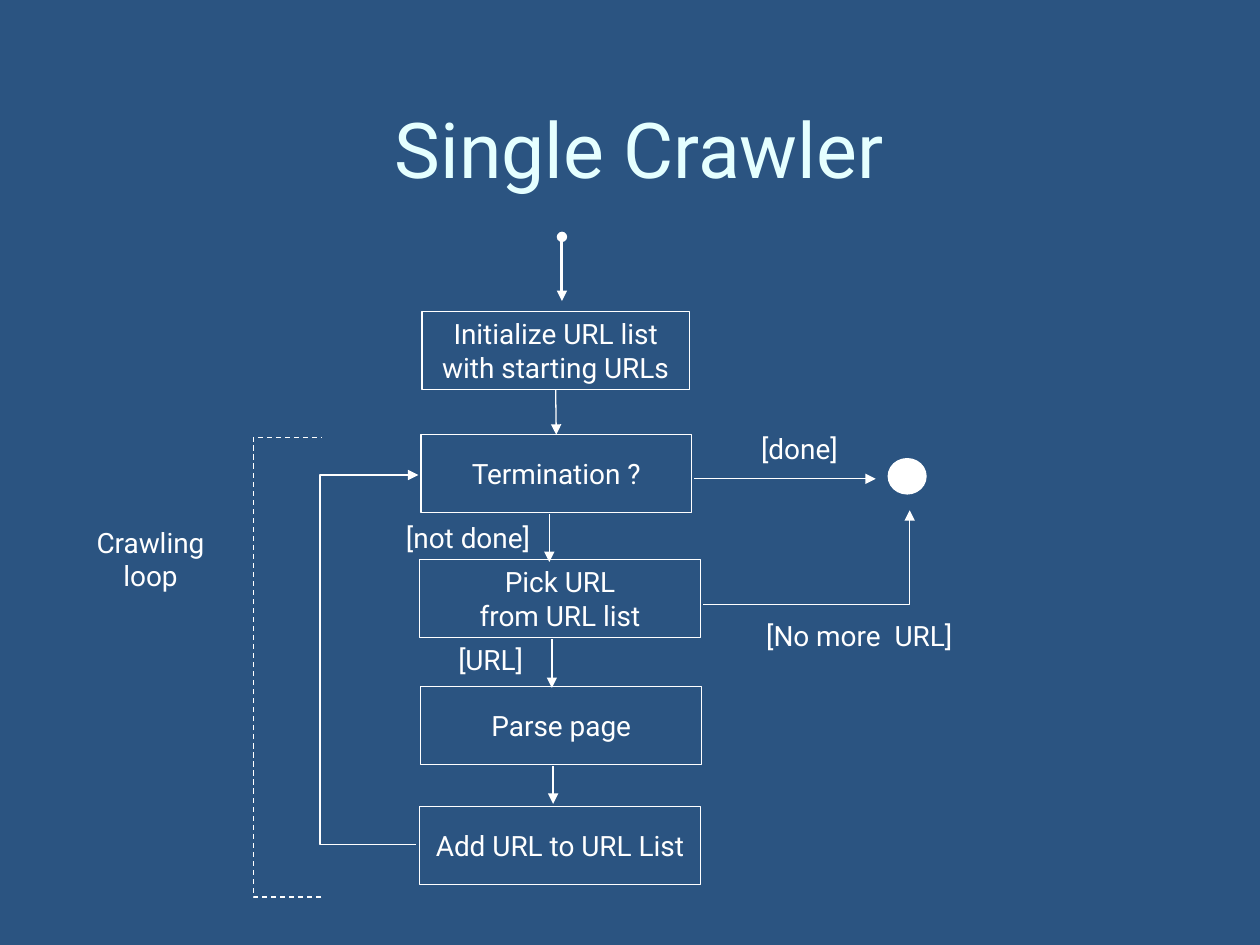
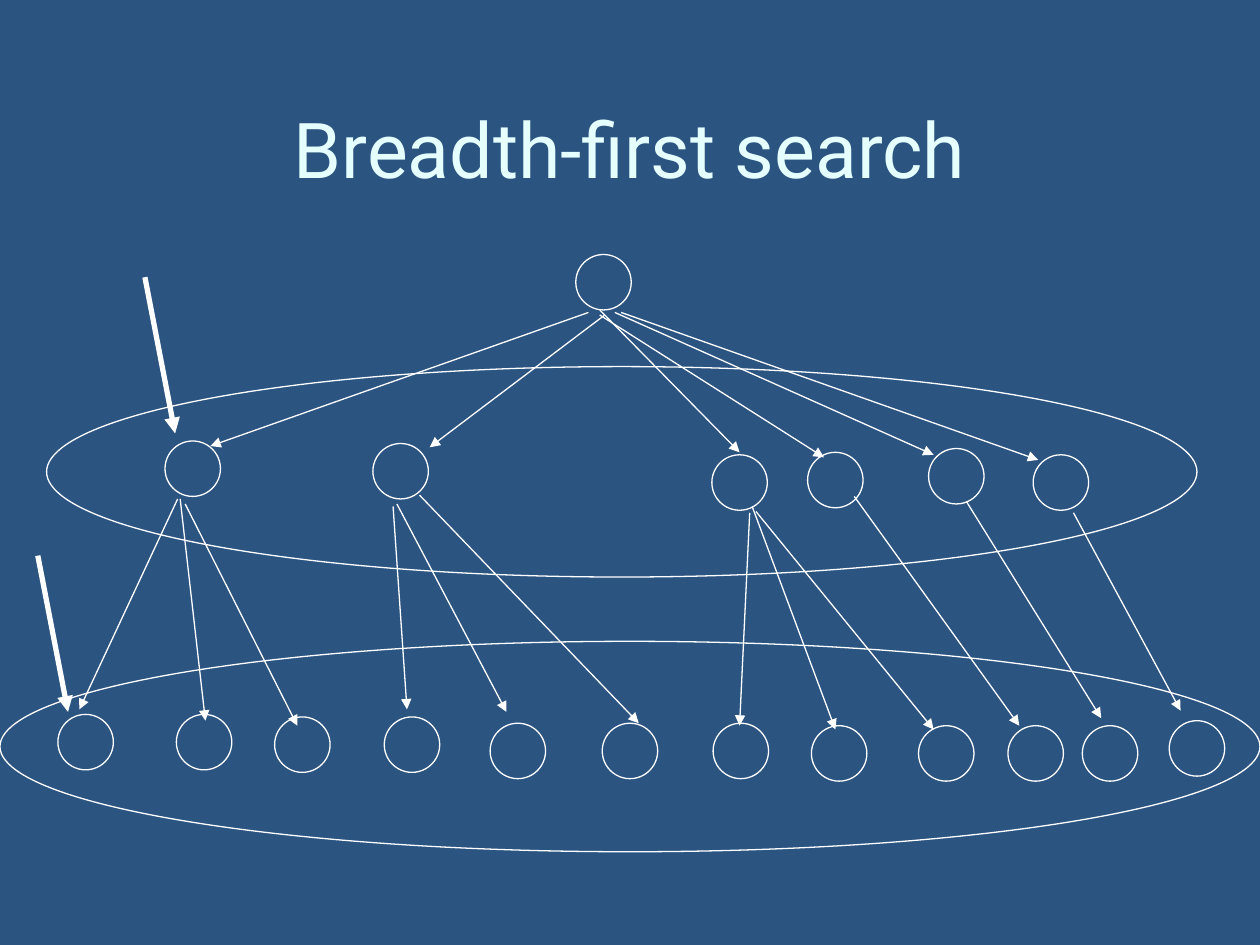
"""Builds two slides on web crawling: the single crawler flow and breadth-first search."""
import pptx
import pptx.util
import pptx.dml.color
import pptx.enum.dml
import pptx.enum.shapes
import pptx.enum.text
import pptx.oxml
import pptx.oxml.ns

Inches, Pt = pptx.util.Inches, pptx.util.Pt
RGBColor = pptx.dml.color.RGBColor
SHAPE = pptx.enum.shapes.MSO_SHAPE
DASH = pptx.enum.dml.MSO_LINE.DASH
CENTER = pptx.enum.text.PP_ALIGN.CENTER
MIDDLE = pptx.enum.text.MSO_ANCHOR.MIDDLE
TOP = pptx.enum.text.MSO_ANCHOR.TOP
FIT_SHAPE = pptx.enum.text.MSO_AUTO_SIZE.SHAPE_TO_FIT_TEXT

NAVY = RGBColor(0x2B, 0x54, 0x81)
ICE = RGBColor(0xE5, 0xFF, 0xFF)
WHITE = RGBColor(0xFF, 0xFF, 0xFF)
FONT = "Roboto"
TITLE_AT = (0.5, 0.42, 9, 1.5)
THIN, MEDIUM, THICK = 0.75, 1.75, 3

STEP_H = 0.62
STEPS = [
    (3.35, 2.47, 2.12, ["Initialize URL list", "with starting URLs"]),
    (3.34, 3.45, 2.15, ["Termination ?"]),
    (3.33, 4.44, 2.23, ["Pick URL", "from URL list"]),
    (3.34, 5.45, 2.23, ["Parse page"]),
    (3.33, 6.4, 2.23, ["Add URL to URL List"]),
]
START_ARROW = (4.46, 1.88, 4.46, 2.39)
STEP_ARROWS = [
    (4.41, 3.11, 4.41, 3.43),
    (4.36, 4.08, 4.36, 4.46),
    (4.38, 5.07, 4.38, 5.46),
    (4.39, 6.08, 4.39, 6.38),
]
DONE_ARROW = (5.51, 3.8, 6.95, 3.8)
END_DOT = (7.05, 3.64, 0.3, 0.28)
NO_MORE_PATH = [(5.58, 4.8), (7.22, 4.8), (7.22, 4.05)]
LOOP_PATH = [(3.3, 6.7), (2.54, 6.7), (2.54, 3.77), (3.32, 3.77)]
LOOP_BRACKET = [(2.55, 7.12), (2.01, 7.12), (2.01, 3.47), (2.55, 3.47)]
LABELS = [
    ("[No more  URL]", (5.72, 4.86, 2.2, 0.37)),
    ("[URL]", (3.31, 5.05, 1.17, 0.37)),
    ("[not done]", (3, 4.08, 1.43, 0.37)),
    ("[done]", (5.63, 3.38, 1.43, 0.37)),
    ("Crawling loop", (0.48, 4.12, 1.43, 0.64)),
]

NODE_D = 0.44
TREE_LEVELS = [
    [(4.57, 2.02)],
    [(1.31, 3.5), (2.96, 3.52), (5.65, 3.61), (6.41, 3.59), (7.37, 3.56), (8.2, 3.61)],
    [(0.46, 5.67), (1.4, 5.67), (2.18, 5.69), (3.05, 5.69), (3.89, 5.74), (4.78, 5.74),
     (5.66, 5.74), (6.44, 5.76), (7.29, 5.76), (8, 5.76), (8.59, 5.76), (9.28, 5.72)],
]
LEVEL_RINGS = [(0.37, 2.91, 9.13, 1.67), (0, 5.09, 10, 1.67)]
TREE_EDGES = [
    (4.67, 2.48, 1.67, 3.54), (4.8, 2.5, 3.41, 3.55), (4.76, 2.46, 5.87, 3.59),
    (4.76, 2.5, 6.54, 3.63), (4.88, 2.48, 7.41, 3.61), (4.93, 2.48, 8.24, 3.65),
    (1.41, 3.96, 0.63, 5.63), (1.43, 3.96, 1.63, 5.72), (1.47, 4, 2.36, 5.76),
    (3.12, 4.02, 3.23, 5.63), (3.15, 4, 4.02, 5.65), (3.33, 3.93, 5.07, 5.74),
    (5.95, 4.07, 5.87, 5.76), (5.97, 4.02, 6.63, 5.79), (6, 4.06, 7.41, 5.79),
    (6.78, 3.94, 8.09, 5.76), (7.67, 3.98, 8.74, 5.7), (8.52, 4.07, 9.37, 5.64),
]
LEVEL_POINTERS = [(1.15, 2.2), (0.3, 4.41)]
POINTER_DX, POINTER_DY = 0.24, 1.24


def write(tf, lines, size=16, color=WHITE, **frame):
    for name, value in frame.items():
        setattr(tf, name, value)
    for i, text in enumerate(lines):
        p = tf.add_paragraph() if i else tf.paragraphs[0]
        p.alignment = CENTER
        r = p.add_run()
        r.text = text
        for name, value in {"name": FONT, "size": Pt(size)}.items():
            setattr(r.font, name, value)
        r.font.color.rgb = color


def stroke(sp, width=THIN, dash=None, head=None, tail=None):
    sp.line.color.rgb = WHITE
    sp.line.width = Pt(width)
    if dash:
        sp.line.dash_style = dash
    ln = sp.element.spPr.find(pptx.oxml.ns.qn("a:ln"))
    for tag, kind in (("headEnd", head), ("tailEnd", tail)):
        if kind:
            ln.append(pptx.oxml.parse_xml(
                f'<a:{tag} {pptx.oxml.ns.nsdecls("a")} type="{kind}"/>'))


def add_outline(s, kind, at, fill=None):
    sp = s.shapes.add_shape(kind, *map(Inches, at))
    sp.shadow.inherit = False
    if fill:
        sp.fill.solid()
        sp.fill.fore_color.rgb = fill
    else:
        sp.fill.background()
    stroke(sp)
    return sp


def add_arrow(s, ends, width=THIN, head=None):
    line = s.shapes.add_connector(
        pptx.enum.shapes.MSO_CONNECTOR.STRAIGHT, *map(Inches, ends))
    stroke(line, width, head=head, tail="triangle")
    line.element.spPr.append(
        pptx.oxml.parse_xml(f'<a:effectLst {pptx.oxml.ns.nsdecls("a")}/>'))
    return line


def add_path(s, points, **style):
    (x, y), *rest = [(Inches(px), Inches(py)) for px, py in points]
    builder = s.shapes.build_freeform(x, y)
    builder.add_line_segments(rest, close=False)
    sp = builder.convert_to_shape()
    sp.shadow.inherit = False
    sp.fill.background()
    stroke(sp, **style)


def add_slide(prs, title):
    s = prs.slides.add_slide(prs.slide_layouts[5])
    for name, value in zip(("left", "top", "width", "height"), TITLE_AT):
        setattr(s.shapes.title, name, Inches(value))
    write(s.shapes.title.text_frame, [title], 44, ICE, vertical_anchor=MIDDLE)
    return s


def build_crawler(prs):
    s = add_slide(prs, " Single Crawler")
    add_arrow(s, START_ARROW, MEDIUM, head="oval")
    boxes = []
    for left, top, width, lines in STEPS:
        sp = add_outline(s, SHAPE.RECTANGLE, (left, top, width, STEP_H))
        write(sp.text_frame, lines, vertical_anchor=MIDDLE, word_wrap=False)
        boxes.append(sp)
    arrows = [add_arrow(s, ends) for ends in STEP_ARROWS]
    arrows[0].begin_connect(boxes[0], 2)
    arrows[0].end_connect(boxes[1], 0)
    add_outline(s, SHAPE.OVAL, END_DOT, WHITE)
    add_arrow(s, DONE_ARROW)
    for points in (NO_MORE_PATH, LOOP_PATH):
        add_path(s, points, tail="triangle")
    for text, at in LABELS:
        sp = s.shapes.add_textbox(*map(Inches, at))
        write(sp.text_frame, [text], vertical_anchor=TOP, word_wrap=True, auto_size=FIT_SHAPE)
    add_path(s, LOOP_BRACKET, dash=DASH)


def build_search(prs):
    s = add_slide(prs, "Breadth-first search")
    for level in TREE_LEVELS:
        for left, top in level:
            add_outline(s, SHAPE.OVAL, (left, top, NODE_D, NODE_D))
    for ends in TREE_EDGES:
        add_arrow(s, ends)
    for ring, (x, y) in zip(LEVEL_RINGS, LEVEL_POINTERS):
        add_outline(s, SHAPE.OVAL, ring)
        add_arrow(s, (x, y, x + POINTER_DX, y + POINTER_DY), THICK)


def main():
    prs = pptx.Presentation()
    prs.slide_width, prs.slide_height = Inches(10), Inches(7.5)
    background = prs.slide_master.background.fill
    background.solid()
    background.fore_color.rgb = NAVY
    build_crawler(prs)
    build_search(prs)
    prs.save("out.pptx")


if __name__ == "__main__":
    main()
